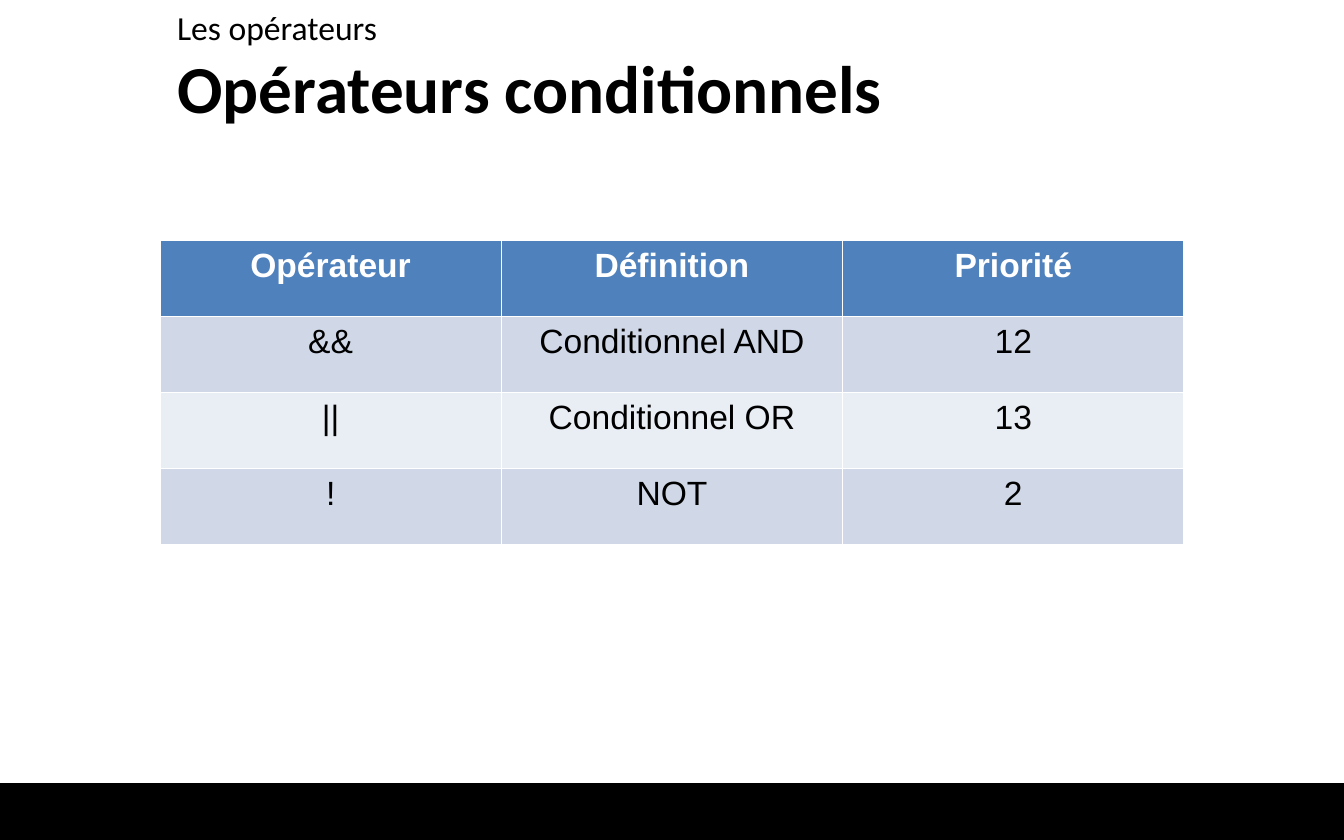
from pptx import Presentation
from pptx.dml.color import RGBColor
from pptx.enum.shapes import MSO_SHAPE
from pptx.enum.text import MSO_ANCHOR, MSO_AUTO_SIZE, PP_ALIGN
from pptx.util import Inches, Pt

RECTANGLE = MSO_SHAPE.RECTANGLE
MIDDLE, TOP = MSO_ANCHOR.MIDDLE, MSO_ANCHOR.TOP
NO_AUTOFIT = MSO_AUTO_SIZE.NONE
LEFT, CENTER = PP_ALIGN.LEFT, PP_ALIGN.CENTER

BLACK = RGBColor(0x00, 0x00, 0x00)
WHITE = RGBColor(0xFF, 0xFF, 0xFF)
HEADER_BLUE = RGBColor(0x4F, 0x81, 0xBD)
BANDS = [RGBColor(0xD0, 0xD8, 0xE8), RGBColor(0xE9, 0xED, 0xF4)]

SECTION = "Les opérateurs"
TITLE = "Opérateurs conditionnels"
OPERATORS = [
    ("Opérateur", "Définition", "Priorité"),
    ("&&", "Conditionnel AND", "12"),
    ("||", "Conditionnel OR", "13"),
    ("!", "NOT", "2"),
]

SLIDE_WIDTH, SLIDE_HEIGHT = 10, 6.25
FOOTER_TOP = 5.83
COLUMN_WIDTH, ROW_HEIGHT = 2.54, 0.565

SECTION_FONT = {"name": "Calibri", "size": Pt(18), "bold": False}
TITLE_FONT = {"name": "Calibri", "size": Pt(36), "bold": True}
HEADER_FONT = {"name": "Arial", "size": Pt(18), "bold": True}
BODY_FONT = {**HEADER_FONT, "bold": False}


def write(frame, text, font, color, alignment, anchor):
    frame.text = text
    frame.vertical_anchor = anchor
    paragraph = frame.paragraphs[0]
    paragraph.alignment = alignment
    for name, value in font.items():
        setattr(paragraph.font, name, value)
    paragraph.font.color.rgb = color


def place(shape, left, top, width, height):
    shape.left, shape.top = Inches(left), Inches(top)
    shape.width, shape.height = Inches(width), Inches(height)


def add_footer_bar(slide):
    bar = slide.shapes.add_shape(
        RECTANGLE, 0, Inches(FOOTER_TOP),
        Inches(SLIDE_WIDTH), Inches(SLIDE_HEIGHT - FOOTER_TOP))
    bar.shadow.inherit = False
    bar.fill.solid()
    bar.fill.fore_color.rgb = BLACK
    bar.line.color.rgb = BLACK
    bar.line.width = Pt(0.75)


def add_headings(slide):
    title = slide.shapes.title
    place(title, 1.22, 0.37, 8.5, 0.55)
    section = slide.shapes.add_textbox(0, 0, 0, 0)
    place(section, 1.22, 0, 8.5, 0.37)
    for shape, text, font, anchor in [
        (title, TITLE, TITLE_FONT, MIDDLE),
        (section, SECTION, SECTION_FONT, TOP),
    ]:
        write(shape.text_frame, text, font, BLACK, LEFT, anchor)
        shape.text_frame.word_wrap = True
        shape.text_frame.auto_size = NO_AUTOFIT


def add_operator_table(slide):
    """The default table style supplies the white cell borders."""
    row_count, column_count = len(OPERATORS), len(OPERATORS[0])
    table = slide.shapes.add_table(
        row_count, column_count, Inches(1.19), Inches(1.79),
        Inches(COLUMN_WIDTH * column_count),
        Inches(ROW_HEIGHT * row_count)).table
    for row_index, row in enumerate(OPERATORS):
        if row_index == 0:
            fill, font, color = HEADER_BLUE, HEADER_FONT, WHITE
        else:
            fill, font, color = BANDS[(row_index - 1) % 2], BODY_FONT, BLACK
        for column_index, text in enumerate(row):
            cell = table.cell(row_index, column_index)
            cell.fill.solid()
            cell.fill.fore_color.rgb = fill
            write(cell.text_frame, text, font, color, CENTER, TOP)


def main():
    presentation = Presentation()
    presentation.slide_width = Inches(SLIDE_WIDTH)
    presentation.slide_height = Inches(SLIDE_HEIGHT)
    title_only = presentation.slide_layouts[5]
    slide = presentation.slides.add_slide(title_only)
    add_footer_bar(slide)
    add_headings(slide)
    add_operator_table(slide)
    presentation.save("out.pptx")


if __name__ == "__main__":
    main()
